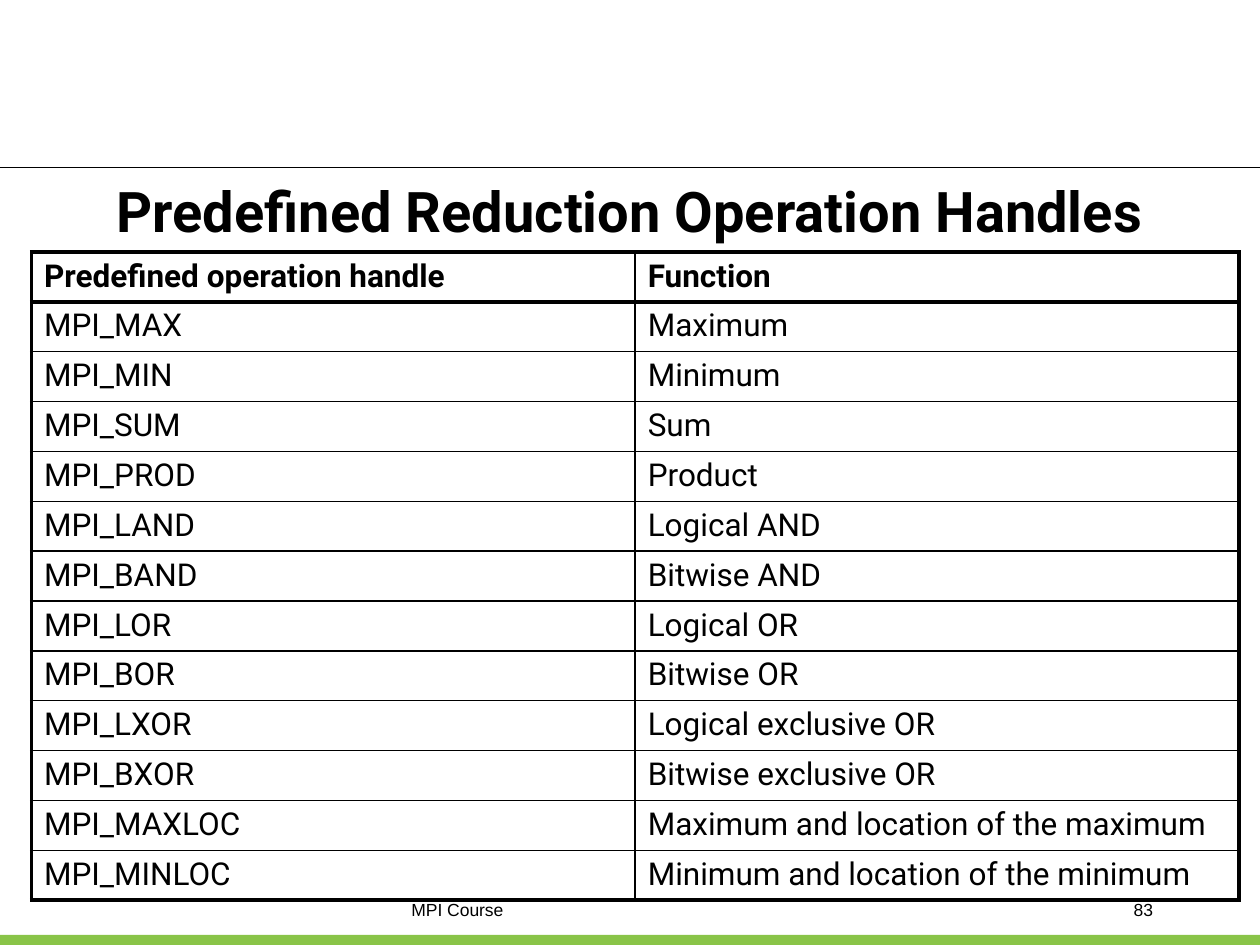
"""Build the slide that lists the predefined MPI reduction operations."""
from dataclasses import dataclass
from typing import NamedTuple

from lxml.etree import SubElement as Sub
from pptx import Presentation
from pptx.dml.color import RGBColor as Color
from pptx.enum.shapes import MSO_CONNECTOR as Link, MSO_SHAPE as Form
from pptx.enum.text import MSO_ANCHOR as Anchor, PP_ALIGN as Align
from pptx.oxml.ns import qn
from pptx.util import Pt


@dataclass(frozen=True)
class Theme:
    ink: str = "000000"
    green: str = "89C448"
    main: str = "Roboto"
    plain: str = "Arial"
    head: float = 32
    body: float = 18
    foot: float = 10
    thin: float = 1
    thick: float = 2.25
    rule: float = 0.75
    inset: float = 3.4


class Box(NamedTuple):
    left: float
    top: float
    width: float
    height: float

    def points(self) -> list:
        return [Pt(side) for side in self]


class Label(NamedTuple):
    text: str
    box: Box
    size: float
    face: str
    bold: bool = False
    align: Align = Align.LEFT
    anchor: Anchor = Anchor.TOP


class Entry(NamedTuple):
    handle: str
    role: str


THEME = Theme()
WIDTH, HEIGHT = 720, 540
RULE_TOP = 95.75
BAR = Box(0, 534.25, WIDTH, 5.75)
GRID = Box(18, 144, 690, 370.5)
LABELS = [
    Label("MPI Course", Box(228, 510, 264, 18), THEME.foot, THEME.plain),
    Label("83", Box(516, 510, 150, 18), THEME.foot, THEME.plain, align=Align.RIGHT),
    Label("Predefined Reduction Operation Handles", Box(0, 96, WIDTH, 48),
          THEME.head, THEME.main, True, Align.CENTER, Anchor.MIDDLE),
]
ENTRIES = [
    Entry("Predefined operation handle", "Function"),
    Entry("MPI_MAX", "Maximum"),
    Entry("MPI_MIN", "Minimum"),
    Entry("MPI_SUM", "Sum"),
    Entry("MPI_PROD", "Product"),
    Entry("MPI_LAND", "Logical AND"),
    Entry("MPI_BAND", "Bitwise AND"),
    Entry("MPI_LOR", "Logical OR"),
    Entry("MPI_BOR", "Bitwise OR"),
    Entry("MPI_LXOR", "Logical exclusive OR"),
    Entry("MPI_BXOR", "Bitwise exclusive OR"),
    Entry("MPI_MAXLOC", "Maximum and location of the maximum"),
    Entry("MPI_MINLOC", "Minimum and location of the minimum"),
]


def style(para, size: float, face: str, bold: bool) -> None:
    font = para.font
    font.size, font.name, font.bold = Pt(size), face, bold
    font.color.rgb = Color.from_string(THEME.ink)


def draw_bar(slide) -> None:
    bar = slide.shapes.add_shape(Form.RECTANGLE, *BAR.points())
    bar.shadow.inherit = False
    bar.fill.solid()
    bar.fill.fore_color.rgb = Color.from_string(THEME.green)
    bar.line.fill.background()


def draw_rule(slide) -> None:
    rule = slide.shapes.add_connector(
        Link.STRAIGHT, Pt(0), Pt(RULE_TOP), Pt(WIDTH), Pt(RULE_TOP))
    rule.line.width = Pt(THEME.rule)
    rule.line.color.rgb = Color.from_string(THEME.ink)
    Sub(rule._element.spPr, qn("a:effectLst"))


def draw_label(slide, label: Label) -> None:
    frame = slide.shapes.add_textbox(*label.box.points()).text_frame
    frame.word_wrap = True
    frame.vertical_anchor = label.anchor
    para = frame.paragraphs[0]
    para.text, para.alignment = label.text, label.align
    style(para, label.size, label.face, label.bold)


def draw_edge(cell, side: str, width: float) -> None:
    edge = Sub(cell._tc.get_or_add_tcPr(), qn(f"a:ln{side}"), w=str(Pt(width)))
    Sub(Sub(edge, qn("a:solidFill")), qn("a:srgbClr"), val=THEME.ink)


def draw_table(slide, entries: list[Entry]) -> None:
    count, span = len(entries), len(Entry._fields)
    table = slide.shapes.add_table(count, span, *GRID.points()).table
    table.first_row = table.horz_banding = False
    for row, entry in enumerate(entries):
        table.rows[row].height = Pt(GRID.height / count)
        for col, text in enumerate(entry):
            cell = table.cell(row, col)
            cell.text = text
            cell.margin_top = cell.margin_bottom = Pt(THEME.inset)
            style(cell.text_frame.paragraphs[0], THEME.body, THEME.main, row == 0)
            heavy = {"L": col == 0, "R": col == span - 1,
                     "T": row < 2, "B": row in (0, count - 1)}
            for side, bold in heavy.items():
                draw_edge(cell, side, THEME.thick if bold else THEME.thin)
            cell.fill.background()


def main() -> None:
    deck = Presentation()
    deck.slide_width, deck.slide_height = Pt(WIDTH), Pt(HEIGHT)
    slide = deck.slides.add_slide(deck.slide_layouts[6])
    draw_bar(slide)
    draw_rule(slide)
    for label in LABELS:
        draw_label(slide, label)
    draw_table(slide, ENTRIES)
    deck.save("out.pptx")


if __name__ == "__main__":
    main()
